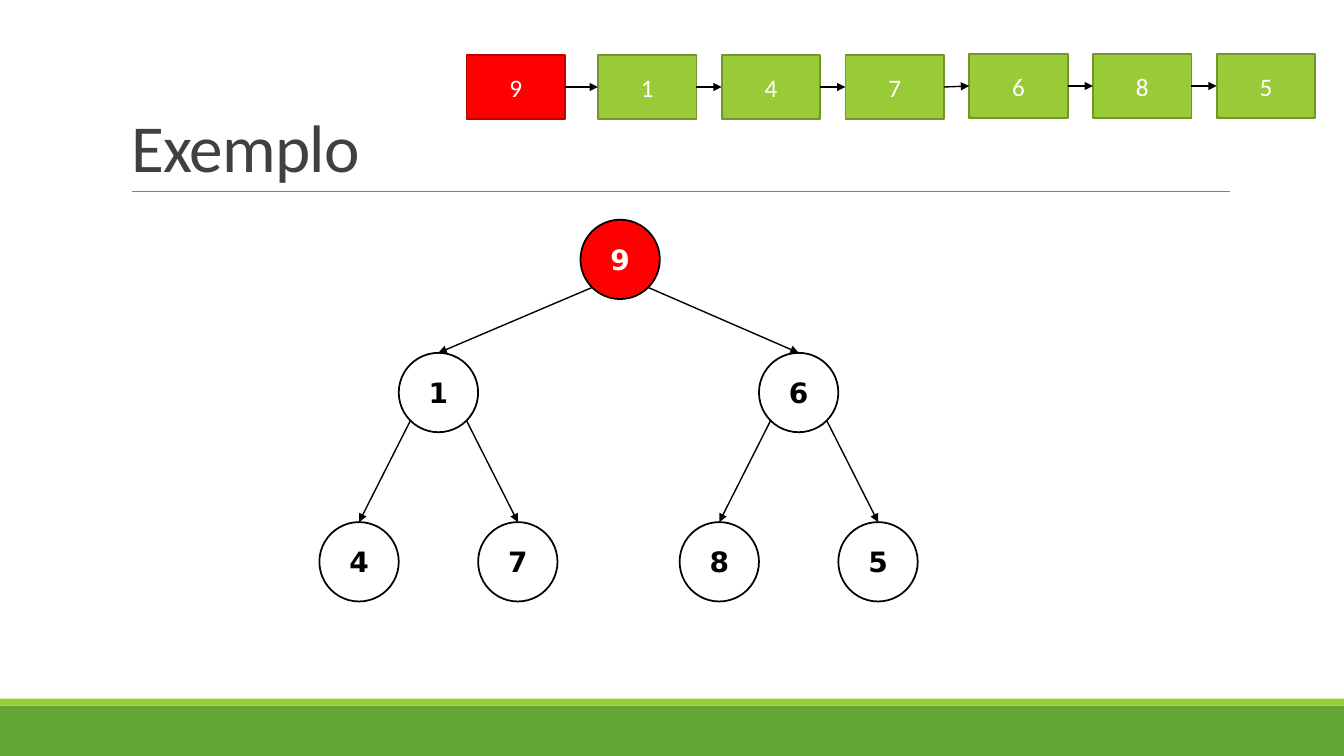
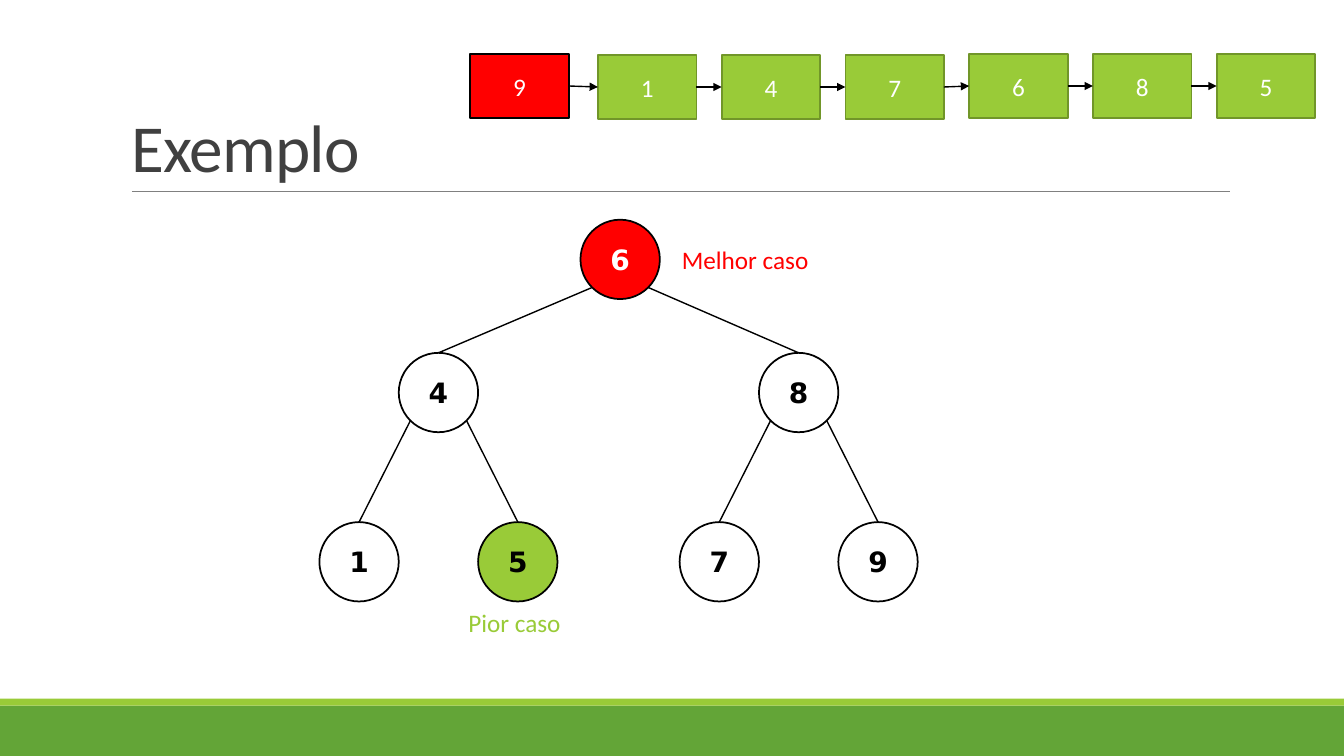
from math import sqrt

from lxml.etree import SubElement
from pptx import Presentation
from pptx.dml.color import RGBColor
from pptx.enum.shapes import MSO_CONNECTOR, MSO_SHAPE
from pptx.enum.text import MSO_ANCHOR, MSO_AUTO_SIZE, PP_ALIGN
from pptx.oxml import parse_xml
from pptx.oxml.ns import nsdecls, qn
from pptx.util import Pt

FONT = "Calibri"
NODE_FONT = "DejaVu Sans"
WHITE, BLACK, RED, DARK_RED = "FFFFFF", "000000", "FF0000", "C00000"
GREEN, GREEN_EDGE, GREEN_BAND = "99CB38", "719629", "63A537"
GREY, TITLE_GREY = "808080", "404040"

DIAMETER = 56.7
RADIUS = DIAMETER / 2
DIAGONAL = RADIUS / sqrt(2)
LEVEL_1, LEVEL_2 = 280.4, 401.3
BRANCHES = [(313.2, LEVEL_1), (570.5, LEVEL_1)]
LEAVES = [(x + side * DIAMETER, LEVEL_2) for x, _ in BRANCHES for side in (-1, 1)]
NODE_CENTERS = [(443, 185.3), *BRANCHES, *LEAVES]

CELL_WIDTH, CELL_HEIGHT = 70.4, 45.7
CELL_STEP = 88.4
UPPER_TOP, LOWER_TOP = 38.6, 39.3
LIST_VALUES = "9147685"

SLIDES = [
    {"tree": "9164785", "fills": {0: RED}, "tree_arrows": True,
     "head": (333.2, LOWER_TOP, DARK_RED), "labels": []},
    {"tree": "6481579", "fills": {0: RED, 4: GREEN}, "tree_arrows": False,
     "head": (335.9, UPPER_TOP, BLACK),
     "labels": [("Melhor caso", RED, 480, 170.8, 106),
                ("Pior caso", GREEN, 327.5, 430.3, 81.5)]},
]


def paint(shape, fill=None, line=None, width=1.25, arrow=False):
    """Format a shape, or a connector when no fill is given."""
    if line:
        shape.line.color.rgb = RGBColor.from_string(line)
        shape.line.width = Pt(width)
    else:
        shape.line.fill.background()
    if fill:
        shape.fill.solid()
        shape.fill.fore_color.rgb = RGBColor.from_string(fill)
        shape.shadow.inherit = False
    else:
        SubElement(shape.element.spPr, qn("a:effectLst"))
    if arrow:
        SubElement(shape.line._get_or_add_ln(), qn("a:tailEnd"), type="triangle")


def write(shape, text, color=WHITE, size=18, font=FONT, bold=False, align=PP_ALIGN.CENTER):
    paragraph = shape.text_frame.paragraphs[0]
    paragraph.alignment = align
    run = paragraph.add_run()
    run.text = text
    run.font.name = font
    run.font.size = Pt(size)
    run.font.bold = bold
    run.font.color.rgb = RGBColor.from_string(color)


presentation = Presentation()
presentation.slide_width, presentation.slide_height = Pt(960), Pt(540)

# Shared layout: title style, footer bands and rule
layout = presentation.slide_layouts.get_by_name("Title Only")
title = layout.placeholders[0]
for placeholder in list(layout.placeholders)[1:]:
    layout.shapes.element.remove(placeholder.element)
title.left, title.top, title.width, title.height = Pt(86.4), Pt(22.4), Pt(792), Pt(114.4)
title.text_frame.vertical_anchor = MSO_ANCHOR.BOTTOM
title.text_frame.auto_size = MSO_AUTO_SIZE.NONE
title.element.txBody.find(qn("a:lstStyle")).append(parse_xml(
    f'<a:lvl1pPr {nsdecls("a")} algn="l"><a:lnSpc><a:spcPct val="85000"/></a:lnSpc>'
    f'<a:defRPr sz="4800" spc="-50"><a:solidFill><a:srgbClr val="{TITLE_GREY}"/></a:solidFill>'
    f'<a:latin typeface="{FONT}"/></a:defRPr></a:lvl1pPr>'))

slides = [presentation.slides.add_slide(layout) for _ in SLIDES]

# Layouts cannot create shapes, so these are made on a slide and moved
furniture = []
for top, height, color in [(504, 36, GREEN_BAND), (499, 5, GREEN)]:
    band = slides[0].shapes.add_shape(MSO_SHAPE.RECTANGLE, 0, Pt(top), Pt(960), Pt(height))
    paint(band, fill=color)
    furniture.append(band)
rule = slides[0].shapes.add_connector(
    MSO_CONNECTOR.STRAIGHT, Pt(94.3), Pt(136.6), Pt(878.7), Pt(136.6))
paint(rule, line=GREY, width=0.5)
furniture.append(rule)
for position, shape in enumerate(furniture, start=2):
    layout.shapes.element.insert(position, shape.element)

for slide, content in zip(slides, SLIDES):
    shapes = slide.shapes
    shapes.title.text_frame.text = "Exemplo"

    # Binary tree
    nodes = []
    for index, (value, (x, y)) in enumerate(zip(content["tree"], NODE_CENTERS)):
        node = shapes.add_shape(MSO_SHAPE.OVAL, Pt(x - RADIUS), Pt(y - RADIUS),
                                Pt(DIAMETER), Pt(DIAMETER))
        fill = content["fills"].get(index, WHITE)
        paint(node, fill=fill, line=BLACK)
        write(node, value, color=WHITE if fill == RED else BLACK,
              size=20, font=NODE_FONT, bold=True)
        nodes.append(node)
    for child in range(1, len(nodes)):
        x, y = NODE_CENTERS[(child - 1) // 2]
        side = -1 if child % 2 else 1
        start_x, start_y = Pt(x + side * DIAGONAL), Pt(y + DIAGONAL)
        branch = shapes.add_connector(MSO_CONNECTOR.STRAIGHT, start_x, start_y, start_x, start_y)
        branch.end_connect(nodes[child], 0)
        paint(branch, line=BLACK, width=1, arrow=content["tree_arrows"])

    for text, color, left, top, width in content["labels"]:
        label = shapes.add_textbox(Pt(left), Pt(top), Pt(width), Pt(29))
        label.text_frame.word_wrap = False
        label.text_frame.auto_size = MSO_AUTO_SIZE.SHAPE_TO_FIT_TEXT
        write(label, text, color=color, align=PP_ALIGN.LEFT)

    # Linked list
    cells = []
    for index, value in enumerate(LIST_VALUES):
        left = 427.1 + (index - 1) * CELL_STEP
        top = LOWER_TOP if index < 4 else UPPER_TOP
        fill, edge = GREEN, GREEN_EDGE
        if index == 0:
            left, top, edge = content["head"]
            fill = RED
        cell = shapes.add_shape(MSO_SHAPE.RECTANGLE, Pt(left), Pt(top),
                                Pt(CELL_WIDTH), Pt(CELL_HEIGHT))
        paint(cell, fill=fill, line=edge)
        write(cell, value)
        cells.append(cell)
    for cell, following in zip(cells, cells[1:]):
        link = shapes.add_connector(MSO_CONNECTOR.STRAIGHT, 0, 0, 0, 0)
        link.begin_connect(cell, 3)
        link.end_connect(following, 1)
        paint(link, line=BLACK, width=1, arrow=True)

presentation.save("out.pptx")
